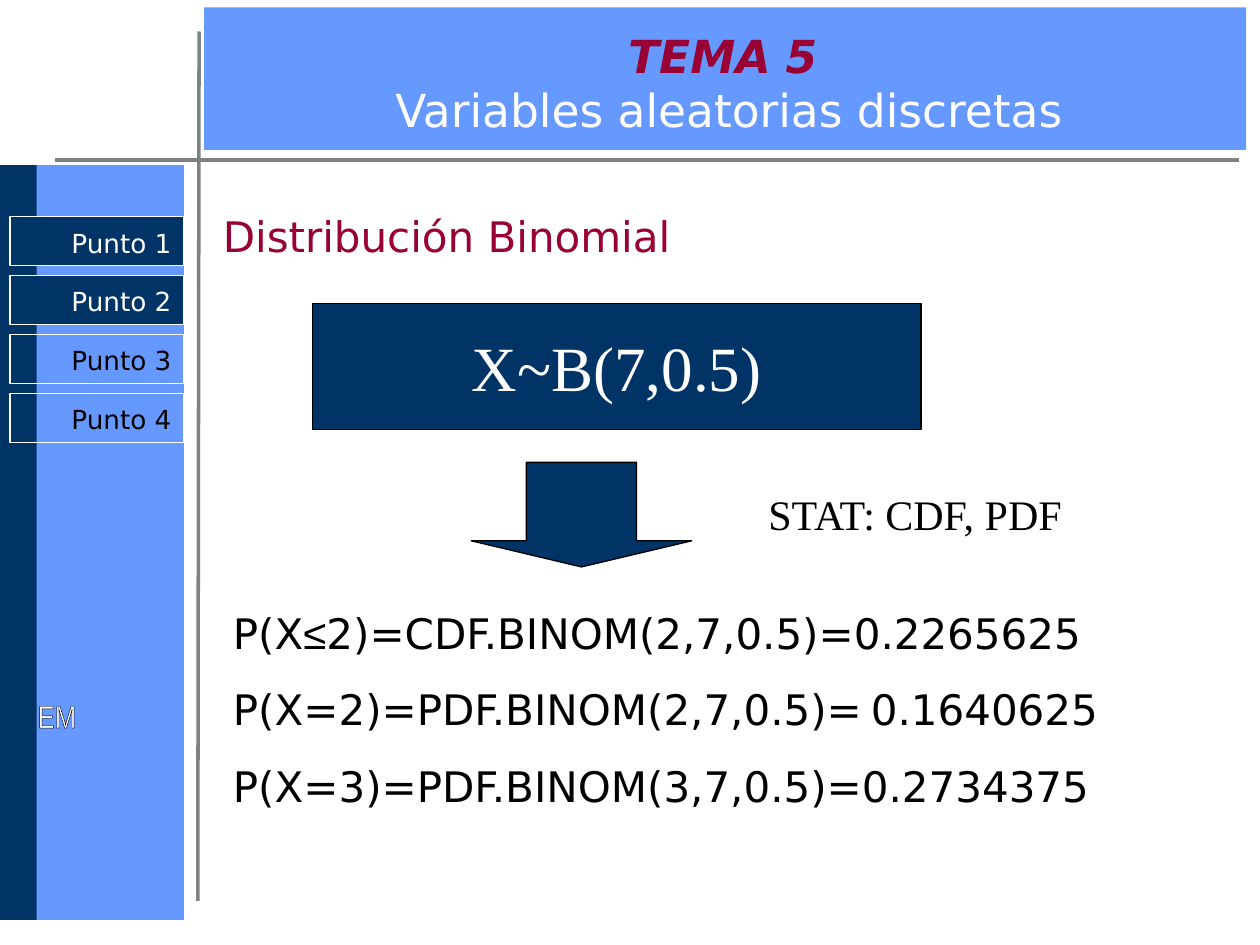
import dataclasses

import pptx
import pptx.dml.color
import pptx.enum.shapes
import pptx.enum.text
import pptx.oxml
import pptx.oxml.ns
import pptx.util

# The slide is a grid of 100 columns by 75 rows, each cell a tenth of an inch.
COLUMNS, ROWS = 100, 75
CELL = pptx.util.Inches(0.1)

SHAPES = pptx.enum.shapes.MSO_SHAPE
ALIGN = pptx.enum.text.PP_ALIGN
ANCHOR = pptx.enum.text.MSO_ANCHOR


@dataclasses.dataclass(frozen=True)
class Theme:
    blue: str = "6699FF"
    navy: str = "003366"
    wine: str = "990033"
    gray: str = "808080"
    white: str = "FFFFFF"
    black: str = "000000"
    sans: str = "DejaVu Sans"
    serif: str = "Times New Roman"
    symbol: str = "Arial"
    narrow: str = "Arial Narrow"
    formula: int = 36
    title: int = 26
    body: int = 24
    gap: int = 20
    signature: int = 18
    button: int = 15
    thin: float = 0.75
    rule: float = 2
    body_space: float = 15
    button_space: float = 9.4


THEME = Theme()


def cells(*counts):
    return [round(count * CELL) for count in counts]


def color(value):
    return pptx.dml.color.RGBColor.from_string(value)


def set_values(target, values):
    for name, value in values.items():
        setattr(target, name, value)


def add_box(slide, box, fill=None, line=None, kind=SHAPES.RECTANGLE):
    shape = slide.shapes.add_shape(kind, *cells(*box))
    shape.shadow.inherit = False
    if fill:
        shape.fill.solid()
        shape.fill.fore_color.rgb = color(fill)
    else:
        shape.fill.background()
    if line:
        shape.line.color.rgb = color(line)
        shape.line.width = pptx.util.Pt(THEME.thin)
    else:
        shape.line.fill.background()
    return shape


def add_rule(slide, start, end):
    line = slide.shapes.add_connector(
        pptx.enum.shapes.MSO_CONNECTOR.STRAIGHT, *cells(*start, *end))
    line.line.color.rgb = color(THEME.gray)
    line.line.width = pptx.util.Pt(THEME.rule)
    properties = line.element.find(pptx.oxml.ns.qn("p:spPr"))
    properties.append(pptx.oxml.parse_xml(
        f"<a:effectLst {pptx.oxml.ns.nsdecls('a')}/>"))


def add_run(paragraph, text, size, ink=THEME.black, font=THEME.sans, **styles):
    run = paragraph.add_run()
    run.text = text
    set_values(run.font, {"size": pptx.util.Pt(size), "name": font, **styles})
    run.font.color.rgb = color(ink)
    return run


def prepare_text(shape, align=ALIGN.LEFT, anchor=ANCHOR.TOP, wrap=True,
                 space=0, top=0.5):
    """Set the frame's layout and return its first paragraph."""
    side, top, bottom = cells(1, top, 0.5)
    frame = shape.text_frame
    set_values(frame, {"margin_left": side, "margin_right": side,
                       "margin_top": top, "margin_bottom": bottom,
                       "word_wrap": wrap, "vertical_anchor": anchor})
    return format_paragraph(frame.paragraphs[0], align, space)


def format_paragraph(paragraph, align, space):
    set_values(paragraph, {"alignment": align,
                           "space_before": pptx.util.Pt(space)})
    return paragraph


def add_text(slide, box, **layout):
    return prepare_text(slide.shapes.add_textbox(*cells(*box)), **layout)


def add_frame(slide):
    add_box(slide, (2.7, 13.1, 11.9, 59.9), THEME.blue)
    add_box(slide, (0, 13.1, 2.9, 59.9), THEME.navy)
    add_box(slide, (16.2, 0.6, 82.7, 11.3), THEME.blue)
    add_rule(slide, (4.4, 12.7), (98.3, 12.7))
    add_rule(slide, (15.7, 71.5), (15.8, 2.5))


def add_buttons(slide, count=4, active=2):
    for index in range(count):
        is_active = index < active
        shape = add_box(slide, (0.8, 17.2 + 4.67 * index, 13.8, 3.9),
                        THEME.navy if is_active else None, THEME.white)
        paragraph = prepare_text(shape, ALIGN.RIGHT, top=0.8,
                                 space=THEME.button_space)
        add_run(paragraph, f"Punto {index + 1}", THEME.button,
                THEME.white if is_active else THEME.black)


def add_signature(slide):
    paragraph = add_text(slide, (2, 54.8, 18.3, 18.2), wrap=False)
    run = add_run(paragraph, "EM", THEME.signature, THEME.white, THEME.narrow)
    outline = pptx.oxml.parse_xml(
        f"<a:ln {pptx.oxml.ns.nsdecls('a')} w='{pptx.util.Pt(THEME.thin)}'>"
        f"<a:solidFill><a:srgbClr val='{THEME.black}'/></a:solidFill></a:ln>")
    run.font.fill  # the outline goes ahead of the text fill
    run._r.get_or_add_rPr().insert(0, outline)


def add_title(slide):
    paragraph = add_text(slide, (17.1, 2.7, 81.6, 7.7),
                         align=ALIGN.CENTER, anchor=ANCHOR.MIDDLE)
    for text, size in (("TEMA", THEME.title), (" ", THEME.body),
                       ("5", THEME.title)):
        add_run(paragraph, text, size, THEME.wine, bold=True, italic=True)
    add_run(paragraph, " ", THEME.body, THEME.white)
    paragraph.add_line_break()
    add_run(paragraph, "Variables aleatorias discretas", THEME.title,
            THEME.white)


def add_label(slide, box, text, ink, font):
    paragraph = add_text(slide, box, space=THEME.body_space)
    add_run(paragraph, text, THEME.body, ink, font)


def add_model(slide):
    shape = add_box(slide, (24.8, 24.1, 48.3, 10), THEME.navy, THEME.black)
    paragraph = prepare_text(shape, ALIGN.CENTER, ANCHOR.MIDDLE, wrap=False)
    add_run(paragraph, "X~B(7,0.5)", THEME.formula, THEME.white, THEME.serif)
    arrow = add_box(slide, (37.4, 36.7, 17.5, 8.3), THEME.navy, THEME.black,
                    SHAPES.DOWN_ARROW)
    arrow.adjustments[0], arrow.adjustments[1] = 0.5, 0.25


def add_results(slide):
    plain = {"size": THEME.body}
    lines = (
        (("P(X", plain), ("≤", {**plain, "font": THEME.symbol}),
         ("2)=CDF.BINOM(2,7,0.5)=0.2265625", plain)),
        (("P(X=2)=PDF.BINOM(2,7,0.5)=", plain),
         (" ", {"size": THEME.gap, "font": THEME.serif}),
         ("0.1640625", plain)),
        (("P(X=3)=PDF.BINOM(3,7,0.5)=0.2734375", plain),),
    )
    shape = slide.shapes.add_textbox(*cells(17.5, 47.7, 82.5, 17.2))
    paragraph = prepare_text(shape, space=THEME.body_space)
    for index, runs in enumerate(lines):
        if index:
            paragraph = format_paragraph(shape.text_frame.add_paragraph(),
                                         ALIGN.LEFT, THEME.body_space)
        for text, styles in runs:
            add_run(paragraph, text, **styles)


def main():
    presentation = pptx.Presentation()
    set_values(presentation, {"slide_width": COLUMNS * CELL,
                              "slide_height": ROWS * CELL})
    slide = presentation.slides.add_slide(presentation.slide_layouts[6])
    add_frame(slide)
    add_signature(slide)
    add_model(slide)
    add_label(slide, (60, 38.3, 34.2, 5), "STAT: CDF, PDF",
              THEME.black, THEME.serif)
    add_results(slide)
    add_buttons(slide)
    add_title(slide)
    add_label(slide, (16.7, 16.2, 70, 5), "Distribución Binomial",
              THEME.wine, THEME.sans)
    presentation.save("out.pptx")


if __name__ == "__main__":
    main()
